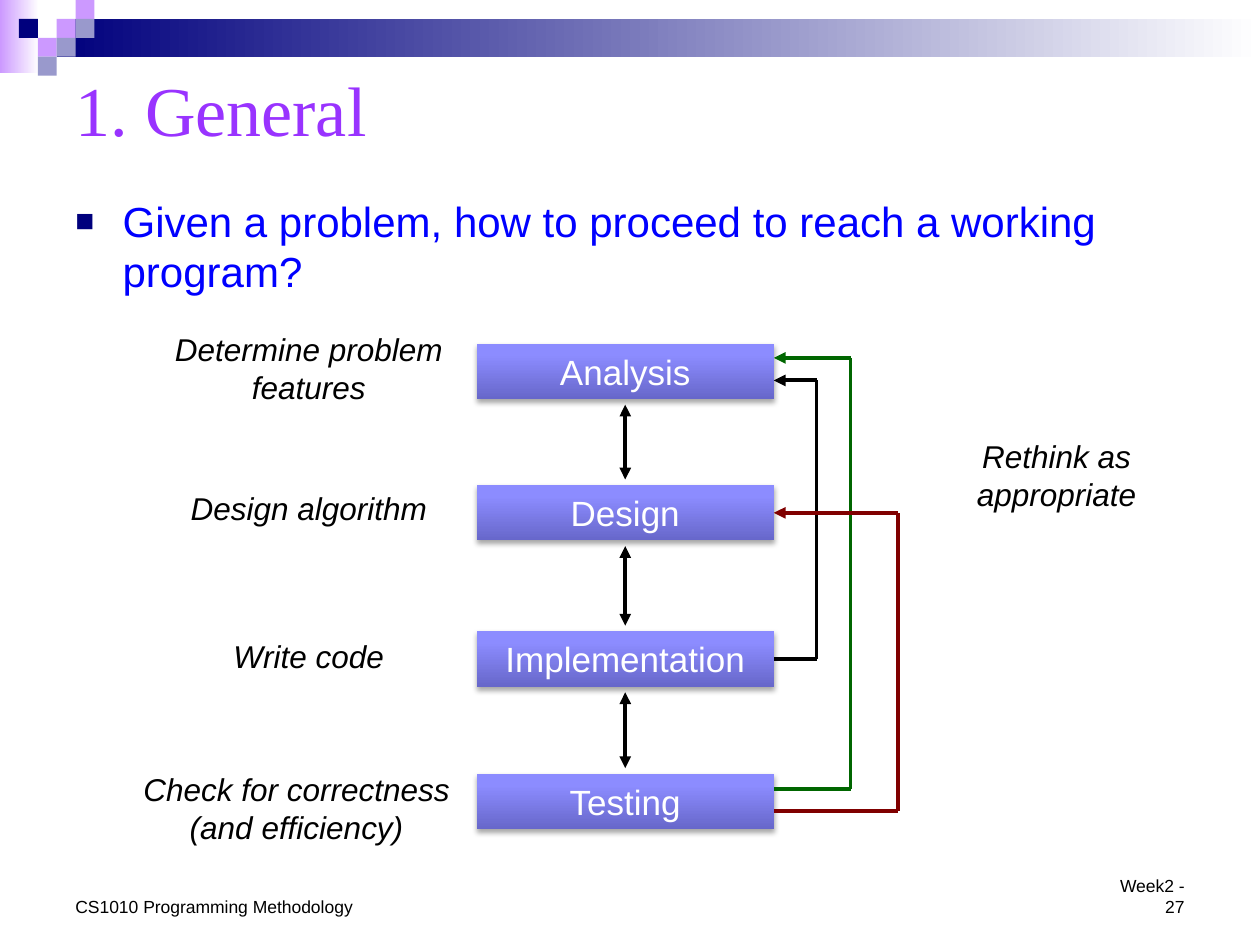
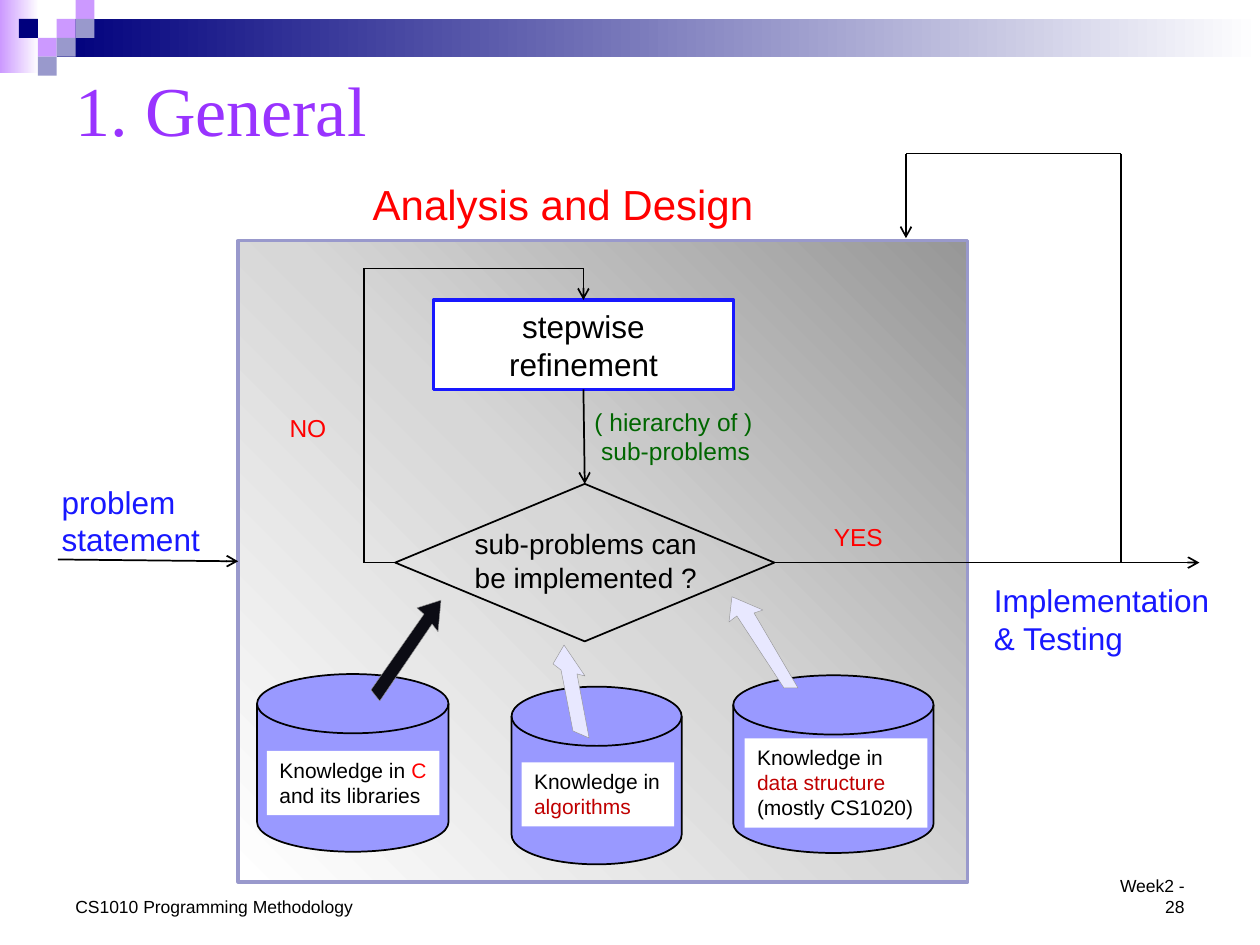
from dataclasses import dataclass
from itertools import pairwise
from typing import Optional

from pptx import Presentation
from pptx.dml.color import RGBColor
from pptx.enum.shapes import MSO_CONNECTOR, MSO_SHAPE as SHAPE
from pptx.enum.text import MSO_ANCHOR as ANCHOR, PP_ALIGN as ALIGN
from pptx.oxml import parse_xml
from pptx.oxml.ns import nsdecls, qn
from pptx.util import Pt

COLORS = {
    "black": "000000", "white": "FFFFFF", "navy": "00007D", "pink": "CC99FF",
    "grey_blue": "9999CC", "title": "9933FF", "blue": "0000FF", "royal": "1818FF",
    "red": "FF0000", "dark_red": "C00000", "maroon": "800000", "green": "006600",
    "disk": "9999FF", "dark_arrow": "0C0C14", "light_arrow": "E8E8FF",
    "box_low": "6767CA", "box_mid": "8C8CFF", "box_high": "8E8EFF",
    "panel_dark": "979797", "panel_mid": "D7D7D7",
}
BOTTOM, LEFT, RIGHT, TOP = 2, 1, 3, 0  # connection sites


@dataclass(frozen=True)
class Box:
    x: float
    y: float
    w: float
    h: float

    def emu(self) -> list:
        return [Pt(v) for v in (self.x, self.y, self.w, self.h)]

    @property
    def cx(self) -> float:
        return self.x + self.w / 2

    @property
    def cy(self) -> float:
        return self.y + self.h / 2


@dataclass(frozen=True)
class Style:
    size: float = 18
    color: str = "black"
    font: str = "Arial"
    italic: bool = False
    align: ALIGN = ALIGN.LEFT
    anchor: ANCHOR = ANCHOR.TOP
    wrap: bool = True
    accent: str = "red"


@dataclass(frozen=True)
class Stage:
    name: str
    top: float
    note: str
    note_box: Box


@dataclass(frozen=True)
class Store:
    disk: Box
    label: Box
    text: str
    accent: str


@dataclass(frozen=True)
class Label:
    text: str
    box: Box
    style: Style


# Drawing helpers
def rgb(name: str) -> RGBColor:
    return RGBColor.from_string(COLORS[name])


def write(sp, text: str, style: Style) -> None:
    """Write one paragraph per line; text between bars takes the accent colour."""
    tf = sp.text_frame
    tf.word_wrap, tf.vertical_anchor = style.wrap, style.anchor
    tf.text = text.replace("|", "")
    for p, line in zip(tf.paragraphs, text.split("\n")):
        p.alignment = style.align
        first, *rest = line.split("|")
        if rest:
            p.text = first
            for piece in filter(None, rest):
                p.add_run().text = piece
        for r in p.runs:
            accented = r.text in rest
            r.font.size, r.font.name, r.font.italic = Pt(style.size), style.font, style.italic
            r.font.color.rgb = rgb(style.accent if accented else style.color)


def add_text(slide, text: str, box: Box, style: Style):
    sp = slide.shapes.add_textbox(*box.emu())
    write(sp, text, style)
    return sp


def paint(sp, fill: Optional[str], line: Optional[str] = None, width: float = 1) -> None:
    sp.shadow.inherit = False
    if fill:
        sp.fill.solid()
        sp.fill.fore_color.rgb = rgb(fill)
    else:
        sp.fill.background()
    if line:
        sp.line.color.rgb = rgb(line)
        sp.line.width = Pt(width)
    else:
        sp.line.fill.background()


def add_shape(slide, kind: SHAPE, box: Box, fill: Optional[str],
              line: Optional[str] = None, width: float = 1):
    sp = slide.shapes.add_shape(kind, *box.emu())
    paint(sp, fill, line, width)
    return sp


def set_gradient(sp, stops: dict, angle: Optional[int] = 0) -> None:
    """Fill with stops of percent to colour; no angle means round, from the top right."""
    gs = "".join(f'<a:gs pos="{pos * 1000}"><a:srgbClr val="{COLORS[c]}"/></a:gs>'
                 for pos, c in stops.items())
    if angle is None:
        shade = '<a:path path="circle"><a:fillToRect l="100000" b="100000"/></a:path>'
    else:
        shade = f'<a:lin ang="{angle * 60000}" scaled="0"/>'
    grad = parse_xml(f'<a:gradFill {nsdecls("a")} rotWithShape="1"><a:gsLst>{gs}</a:gsLst>'
                     f'{shade}</a:gradFill>')
    spPr = sp._element.spPr
    spPr.replace(spPr.find(qn("a:solidFill")), grad)


def add_drop_shadow(sp) -> None:
    effects = sp._element.spPr.find(qn("a:effectLst"))
    effects.append(parse_xml(
        f'<a:outerShdw {nsdecls("a")} blurRad="{Pt(3.1)}" dist="{Pt(1.8)}" dir="5400000" '
        'rotWithShape="0"><a:srgbClr val="000000"><a:alpha val="35000"/></a:srgbClr></a:outerShdw>'))


def add_line(slide, start: tuple, end: tuple, color: str = "black", width: float = 1,
             head: str = "none", tail: str = "none"):
    line = slide.shapes.add_connector(MSO_CONNECTOR.STRAIGHT, *map(Pt, start + end))
    line.line.color.rgb = rgb(color)
    line.line.width = Pt(width)
    ln = line.line._get_or_add_ln()
    for tag, kind in (("headEnd", head), ("tailEnd", tail)):
        ln.append(parse_xml(f'<a:{tag} {nsdecls("a")} type="{kind}"/>'))
    line._element.spPr.append(parse_xml(f'<a:effectLst {nsdecls("a")}/>'))
    return line


def add_route(slide, points: list, color: str = "black", width: float = 1,
              tail: str = "arrow", begin=None, end=None) -> None:
    """Draw a run of segments with an arrowhead on the last; begin and end are (shape, site)."""
    legs = list(pairwise(points))
    lines = [add_line(slide, a, b, color, width, tail=tail if i == len(legs) else "none")
             for i, (a, b) in enumerate(legs, 1)]
    if begin:
        lines[0].begin_connect(*begin)
    if end:
        lines[-1].end_connect(*end)


def add_polygon(slide, points: list, fill: str, line: str) -> None:
    builder = slide.shapes.build_freeform(*map(Pt, points[0]), scale=1.0)
    builder.add_line_segments([tuple(map(Pt, pt)) for pt in points[1:]], close=True)
    paint(builder.convert_to_shape(), fill, line, 0.25)


# Shared frame: mosaic, band, title and footer
CELL = 10.8
MOSAIC = [(3, 1, "pink"), (4, 0, "pink"), (4, 1, "grey_blue"), (2, 2, "pink"),
          (1, 1, "navy"), (3, 2, "grey_blue"), (2, 3, "grey_blue")]
BANDS = [(Box(0, 0, 22.3, 41.8), "pink"), (Box(32.4, 10.8, 687.6, 21.6), "navy")]


def new_slide(prs, number: int):
    slide = prs.slides.add_slide(prs.slide_layouts[6])
    for box, color in BANDS:
        set_gradient(add_shape(slide, SHAPE.RECTANGLE, box, color), {0: color, 100: "white"})
    for col, row, color in MOSAIC:
        add_shape(slide, SHAPE.RECTANGLE, Box(col * CELL, row * CELL, CELL, CELL), color)
    add_text(slide, "1. General", Box(36, 30.2, 648, 63.4),
             Style(40, "title", "Times New Roman", anchor=ANCHOR.MIDDLE))
    add_text(slide, "CS1010 Programming Methodology", Box(36, 508.3, 174.2, 19.4),
             Style(10, anchor=ANCHOR.BOTTOM, wrap=False))
    add_text(slide, f"Week2 - {number}", Box(623.5, 508.3, 60.5, 19.4),
             Style(10, align=ALIGN.RIGHT, anchor=ANCHOR.BOTTOM))
    return slide


# Slide 27: the four stages
STAGES = [
    Stage("Analysis", 196.4, "Determine problem features", Box(92.2, 185, 168.5, 51.1)),
    Stage("Design", 277.2, "Design algorithm", Box(92.2, 275.8, 168.5, 28.8)),
    Stage("Implementation", 360.7, "Write code", Box(92.2, 360.7, 168.5, 28.8)),
    Stage("Testing", 442.2, "Check for correctness (and efficiency)",
          Box(69.8, 436.3, 199.4, 51.1)),
]
GAP = 3.2


def build_stages(prs) -> None:
    slide = new_slide(prs, 27)
    question = add_text(slide, "Given a problem, how to proceed to reach a working program?",
                        Box(36, 108, 648, 65.5), Style(24, "blue"))
    p = question.text_frame.paragraphs[0]
    p.space_before = Pt(4.8)
    pPr = p._p.get_or_add_pPr()
    pPr.set("marL", str(Pt(27)))
    pPr.set("indent", str(Pt(-27)))
    for xml in (f'<a:buClr {nsdecls("a")}><a:srgbClr val="{COLORS["navy"]}"/></a:buClr>',
                f'<a:buSzPct {nsdecls("a")} val="75000"/>',
                f'<a:buFont {nsdecls("a")} typeface="Arial"/>',
                f'<a:buChar {nsdecls("a")} char="■"/>'):
        pPr.append(parse_xml(xml))

    note = Style(italic=True, align=ALIGN.CENTER)
    boxes = [Box(272.4, stage.top, 169.8, 31.7) for stage in STAGES]
    shapes = []
    for stage, box in zip(STAGES, boxes):
        sp = add_shape(slide, SHAPE.RECTANGLE, box, "box_mid")
        set_gradient(sp, {0: "box_low", 80: "box_mid", 100: "box_high"}, 270)
        add_drop_shadow(sp)
        write(sp, stage.name, Style(20, "white", align=ALIGN.CENTER, anchor=ANCHOR.MIDDLE))
        add_text(slide, stage.note, stage.note_box, note)
        shapes.append(sp)
    add_text(slide, "Rethink as appropriate", Box(538.6, 246.2, 130.3, 51.1), note)

    for upper, lower in pairwise(boxes):
        add_line(slide, (upper.cx, upper.y + upper.h + GAP), (lower.cx, lower.y - GAP),
                 width=2.25, head="triangle", tail="triangle")

    # Ways back to earlier stages
    _, design, coding, _ = boxes
    edge = design.x + design.w
    for start, lane, stop, color, begin, end in (
            (coding.cy, 466.6, 217.4, "black", (shapes[2], RIGHT), None),
            (450.7, 486, 204.5, "green", None, None),
            (463.7, 513.4, design.cy, "maroon", None, (shapes[1], RIGHT))):
        add_route(slide, [(edge, start), (lane, start), (lane, stop), (edge, stop)],
                  color, 2.25, "triangle", begin, end)


# Slide 28: the refinement loop
STORES = [
    Store(Box(146.9, 385.2, 109.4, 101.5), Box(152.6, 429.1, 98.6, 36.7),
          "Knowledge in |C|\nand its libraries", "red"),
    Store(Box(292.3, 392.4, 97.2, 101.5), Box(298.1, 435.6, 87.1, 36.7),
          "Knowledge in\n|algorithms|", "dark_red"),
    Store(Box(419, 385.9, 114.5, 101.5), Box(425.5, 421.9, 104.4, 51.1),
          "Knowledge in\n|data structure|\n(mostly CS1020)", "dark_red"),
]
KNOWLEDGE_ARROWS = [
    ("dark_arrow", [(252, 343), (250.3, 361), (246.9, 356.6), (217, 400.6), (212, 394.3),
                    (242.3, 351), (238.3, 347.4)]),
    ("light_arrow", [(418.3, 341), (436, 348.6), (430.9, 350.3), (456, 393.1), (448, 393.1),
                     (421.1, 352), (416.6, 355.4)]),
    ("light_arrow", [(322.3, 368.6), (334.3, 386.3), (329.7, 385.1), (336.6, 421.7),
                     (327.4, 417.7), (320.6, 382.9), (316, 379.4)]),
]
LABELS = [
    Label("problem\nstatement", Box(28.1, 272.2, 94.3, 51.1), Style(color="royal", wrap=False)),
    Label("( hierarchy of )\n sub-problems", Box(332.6, 229, 105.1, 41),
          Style(14, "green", wrap=False)),
    Label("sub-problems can\nbe implemented ?", Box(264.2, 297.4, 143.3, 46.1),
          Style(16, wrap=False)),
    Label("NO", Box(158.4, 232.6, 36, 24.5), Style(14, "red", wrap=False)),
    Label("YES", Box(469.4, 294.5, 43.2, 24.5), Style(14, "red", wrap=False)),
    Label("Implementation\n& Testing", Box(560.9, 328.3, 139, 51.1),
          Style(color="royal", wrap=False)),
    Label("Analysis and Design", Box(205.9, 98.6, 262.1, 36), Style(24, "red")),
]


def build_refinement(prs) -> None:
    slide = new_slide(prs, 28)
    panel = add_shape(slide, SHAPE.RECTANGLE, Box(136.1, 137.5, 416.9, 366.5),
                      "panel_mid", "grey_blue", 2)
    set_gradient(panel, {0: "panel_dark", 50: "panel_mid", 100: "white"}, None)
    step_box, test_box = Box(247.7, 171.4, 171.4, 51.1), Box(225.8, 276.5, 216.7, 90)
    step = add_shape(slide, SHAPE.RECTANGLE, step_box, "white", "royal", 2)
    write(step, "stepwise\nrefinement", Style(align=ALIGN.CENTER, anchor=ANCHOR.MIDDLE))
    test = add_shape(slide, SHAPE.DIAMOND, test_box, None, "black")

    # Flow
    mid, loop_x, loop_y = test_box.cy, 208.1, 153.4
    add_route(slide, [(33.1, 319.7), (136.1, 320.7)], end=(panel, LEFT))
    add_route(slide, [(step_box.cx, 222.5), (test_box.cx, 276.5)],
              begin=(step, BOTTOM), end=(test, TOP))
    add_route(slide, [(test_box.x, mid), (loop_x, mid), (loop_x, loop_y),
                      (step_box.cx, loop_y), (step_box.cx, step_box.y)],
              begin=(test, LEFT), end=(step, TOP))
    add_route(slide, [(442.5, mid), (685.4, mid)], begin=(test, RIGHT))
    add_route(slide, [(640.8, mid), (640.8, 87.8), (517.7, 87.8), (517.7, 136.1)])

    # Knowledge stores
    for store in STORES:
        add_shape(slide, SHAPE.FLOWCHART_MAGNETIC_DISK, store.disk, "disk", "black")
        label = add_text(slide, store.text, store.label,
                         Style(12, wrap=False, accent=store.accent))
        label.fill.solid()
        label.fill.fore_color.rgb = rgb("white")
    for color, points in KNOWLEDGE_ARROWS:
        add_polygon(slide, points, color, "panel_dark")
    for label in LABELS:
        add_text(slide, label.text, label.box, label.style)


def main() -> None:
    prs = Presentation()
    prs.slide_width, prs.slide_height = Pt(720), Pt(540)
    build_stages(prs)
    build_refinement(prs)
    prs.save("out.pptx")


if __name__ == "__main__":
    main()
